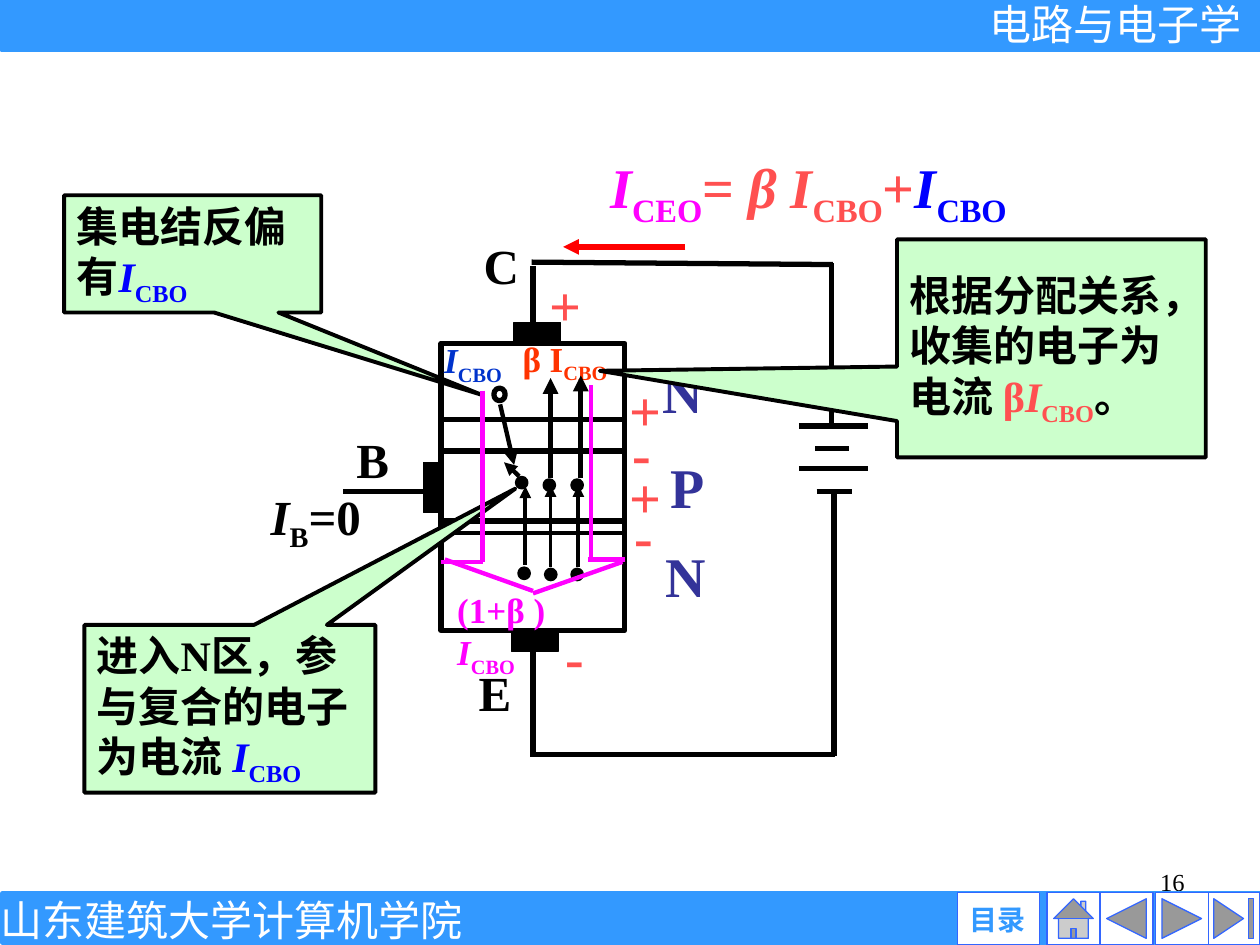
"""Build the slide on the collector-emitter leakage current of a transistor."""
from lxml import etree
from pptx import Presentation
from pptx.dml.color import RGBColor
from pptx.enum.shapes import MSO_CONNECTOR, MSO_SHAPE
from pptx.enum.text import MSO_ANCHOR, PP_ALIGN
from pptx.oxml.ns import qn
from pptx.util import Pt

RECTANGLE, OVAL = MSO_SHAPE.RECTANGLE, MSO_SHAPE.OVAL
CALLOUT = MSO_SHAPE.RECTANGULAR_CALLOUT
STRAIGHT = MSO_CONNECTOR.STRAIGHT
TOP, MIDDLE = MSO_ANCHOR.TOP, MSO_ANCHOR.MIDDLE
LEFT, CENTER, RIGHT = PP_ALIGN.LEFT, PP_ALIGN.CENTER, PP_ALIGN.RIGHT
SERIF, SANS = "Times New Roman", "Arial"
COLORS = {
    "black": "000000", "white": "FFFFFF", "bar": "3399FF", "button": "3366FF",
    "mint": "CCFFCC", "coral": "FF5050", "magenta": "FF00FF", "blue": "0000FF",
    "navy": "333399", "royal": "0033CC", "orange": "FF3300", "red": "FF0000",
}

presentation = Presentation()
presentation.slide_width, presentation.slide_height = Pt(720), Pt(540)
slide = presentation.slides.add_slide(presentation.slide_layouts[6])


def add_box(box, kind=None, fill=None, line=None, width=1, runs=(), size=24,
            align=CENTER, anchor=MIDDLE, wrap=True, inset=True, bold=True, font=SERIF):
    """Add a preset shape, or a text box when no kind is given."""
    lengths = [Pt(value) for value in box]
    if kind is None:
        shape = slide.shapes.add_textbox(*lengths)
    else:
        shape = slide.shapes.add_shape(kind, *lengths)
        shape.shadow.inherit = False
        shape.line.color.rgb = RGBColor.from_string(COLORS[line])
        shape.line.width = Pt(width)
        if fill:
            shape.fill.solid()
            shape.fill.fore_color.rgb = RGBColor.from_string(COLORS[fill])
        else:
            shape.fill.background()
    if not runs:
        return shape
    frame = shape.text_frame
    side, edge = (Pt(7.2), Pt(3.6)) if inset else (0, 0)
    layout = {"word_wrap": wrap, "vertical_anchor": anchor, "margin_left": side,
              "margin_right": side, "margin_top": edge, "margin_bottom": edge}
    for name, value in layout.items():
        setattr(frame, name, value)
    paragraph = frame.paragraphs[0]
    paragraph.alignment = align
    for text, color, style in runs:
        run = paragraph.add_run()
        run.text = text
        formats = {"name": font, "size": Pt(size), "bold": bold, "italic": style == "italic"}
        for name, value in formats.items():
            setattr(run.font, name, value)
        run.font.color.rgb = RGBColor.from_string(COLORS[color])
        if style == "sub":
            run.font._element.set("baseline", "-25000")
    return shape


def add_line(points, width=3, color="black", arrow=False):
    """Add a connector for two points, or an open outline for more."""
    places = [(Pt(x), Pt(y)) for x, y in points]
    if len(places) == 2:
        shape = slide.shapes.add_connector(STRAIGHT, *places[0], *places[1])
    else:
        builder = slide.shapes.build_freeform(*places[0])
        builder.add_line_segments(places[1:], close=False)
        shape = builder.convert_to_shape()
        shape.fill.background()
    shape.line.color.rgb = RGBColor.from_string(COLORS[color])
    shape.line.width = Pt(width)
    properties = shape._element.spPr
    if arrow:
        etree.SubElement(properties.find(qn("a:ln")), qn("a:tailEnd"), type="triangle")
    etree.SubElement(properties, qn("a:effectLst"))


add_box((516.2, 491.8, 167.8, 37.4), runs=[("16", "black", "")], size=14,
        align=RIGHT, anchor=TOP, bold=False)
for left, top in [(1.4, 510.5), (0.7, 0)]:
    add_box((left, top, 719.3, 28), RECTANGLE, "bar", "bar", 3)
for left, width, kind in [
    (689.8, 30.2, MSO_SHAPE.ACTION_BUTTON_END),
    (660.2, 30.2, MSO_SHAPE.ACTION_BUTTON_FORWARD_OR_NEXT),
    (628.6, 30.2, MSO_SHAPE.ACTION_BUTTON_BACK_OR_PREVIOUS),
    (598.3, 30.2, MSO_SHAPE.ACTION_BUTTON_HOME),
    (547.2, 46.8, MSO_SHAPE.ACTION_BUTTON_CUSTOM),
]:
    add_box((left, 509.8, width, 30.2), kind, "white", "button", 0.75)
for text, box, color, size, font, bold, wrap in [
    ("目录", (547.2, 515.5, 45.4, 19.4), "bar", 16, SANS, True, True),
    ("电路与电子学", (549.4, -0.7, 175.7, 28.8), "white", 24, SANS, False, True),
    ("山东建筑大学计算机学院", (0, 511.2, 264.2, 28.8), "white", 24, SERIF, False, False),
]:
    add_box(box, runs=[(text, color, "")], size=size, font=font, bold=bold,
            wrap=wrap, inset=False)

for top, height in [(297.7, 62.6), (196.2, 61.2), (257.8, 40.3)]:
    add_box((252, top, 105.1, height), RECTANGLE, None, "black", 3)
for points in [
    [(304.6, 432), (304.6, 362.2)], [(304.6, 196.6), (304.6, 151.9)],
    [(249.8, 280.8), (195.8, 280.8)], [(303.1, 431.3), (477.4, 431.3)],
    [(303.8, 149.8), (475.9, 151.2)], [(456.5, 243.4), (496.1, 243.4)],
    [(465.8, 256.3), (485.3, 256.3)], [(456.5, 267.8), (496.1, 267.8)],
    [(466.6, 280.8), (486.7, 280.8)], [(475.2, 150.5), (475.2, 243.4)],
    [(476.6, 280.1), (476.6, 432)],
]:
    add_line(points)
for y in (304.6, 239.8):
    add_line([(252, y), (357.1, y)], 2.5)

for text, left, top, width in [
    ("B", 196.6, 241.9, 30.2), ("E", 266.4, 375.1, 30.2), ("C", 269.3, 131, 31.7),
]:
    add_box((left, top, width, 41), runs=[(text, "black", "")], size=28, wrap=False)
for text, left, top in [("N", 371.5, 200.9), ("N", 373, 306), ("P", 374.4, 254.9)]:
    add_box((left, top, 37.4, 45.4), runs=[(text, "navy", "")], size=32)
for text, left, top in [
    ("+", 306.7, 151.2), ("-", 316.1, 352.1), ("+", 352.8, 211),
    ("-", 354.2, 235.4), ("+", 352.8, 260.6), ("-", 355.7, 283),
]:
    width = 30.2 if text == "+" else 23
    add_box((left, top, width, 45.4), runs=[(text, "coral", "")], size=32, wrap=False)

add_box((332.6, 86.4, 263.5, 45.4), size=32, wrap=False, runs=[
    ("I", "magenta", "italic"), ("CEO", "magenta", "sub"), ("= ", "coral", ""),
    ("β I", "coral", "italic"), ("CBO", "coral", "sub"), ("+", "coral", ""),
    ("I", "blue", "italic"), ("CBO ", "blue", "sub")])
add_line([(391.7, 141.1), (321.8, 141.1)], 3, "red", True)
add_box((291.5, 190.8, 83.6, 31), size=20, align=LEFT,
        runs=[("β I", "orange", ""), ("CBO", "orange", "sub")])
add_box((243, 191.5, 54.7, 31), size=20, wrap=False,
        runs=[("I", "royal", "italic"), ("CBO", "royal", "sub")])
add_box((147.6, 276.5, 82.1, 41), size=28, align=LEFT,
        runs=[("I", "black", "italic"), ("B", "black", "sub"), ("=0", "black", "")])

leakage = [("I", "blue", "italic"), ("CBO", "blue", "sub")]
for box, tip, runs in [
    ((512.6, 136.8, 176.4, 124.6), (-1.463, 0.103), [
        ("根据分配关系，收集的电子为电流 ", "black", ""), ("β", "coral", ""),
        ("I", "coral", "italic"), ("CBO", "coral", "sub"), ("。", "black", "")]),
    ((48.2, 357.1, 166.3, 95.8), (0.981, -1.313),
     [("进入N区，参与复合的电子为电流 ", "black", "")] + leakage),
    ((36.7, 111.6, 146.9, 67), (1.123, 1.201),
     [("集电结反偏有", "black", "")] + leakage),
]:
    callout = add_box(box, CALLOUT, "mint", "black", 2.25, runs, align=LEFT)
    callout.adjustments[0], callout.adjustments[1] = tip

for left, top in [
    (311, 274.3), (326.9, 274.3), (295.2, 272.9),
    (311.8, 325.4), (326.9, 325.4), (296.6, 324.7),
]:
    add_box((left, top, 5.8, 5.8), OVAL, "black", "black", 2)
add_box((282.2, 221.8, 6.5, 7.2), OVAL, None, "black", 3)
for points, width in [
    ([(314.6, 272.9), (314.6, 216)], 3), ([(331.9, 272.9), (331.9, 214.6)], 3),
    ([(314.6, 324), (314.6, 277.2)], 2.25), ([(330.5, 324), (330.5, 277.2)], 2.25),
    ([(300.2, 322.6), (300.2, 277.9)], 2.25), ([(285.8, 231.1), (293.8, 265.7)], 2.5),
    ([(296.6, 272.2), (291.8, 267.5), (288, 264.2)], 2.5),
]:
    add_line(points, width, arrow=True)

for box in [(292.3, 361.4, 26.6, 10.8), (293.8, 184.3, 26.6, 10.8), (241.9, 264.2, 10.1, 28.8)]:
    add_box(box, RECTANGLE, "black", "black", 0.75)
for points in [
    [(275.8, 223.2), (275.8, 321.1)], [(337.7, 220.3), (337.7, 321.1)],
    [(275.8, 321.1), (252, 321.1)], [(357.1, 319.7), (336.2, 319.7)],
    [(254.2, 319.7), (304.6, 337.7)], [(355.7, 321.1), (304.6, 339.1)],
]:
    add_line(points, 2.5, "magenta")
add_box((254.2, 332.6, 97.9, 31), size=20, align=LEFT, anchor=TOP, runs=[
    ("(1+β ) ", "magenta", ""), ("I", "magenta", "italic"), ("CBO", "magenta", "sub")])

presentation.save("out.pptx")
